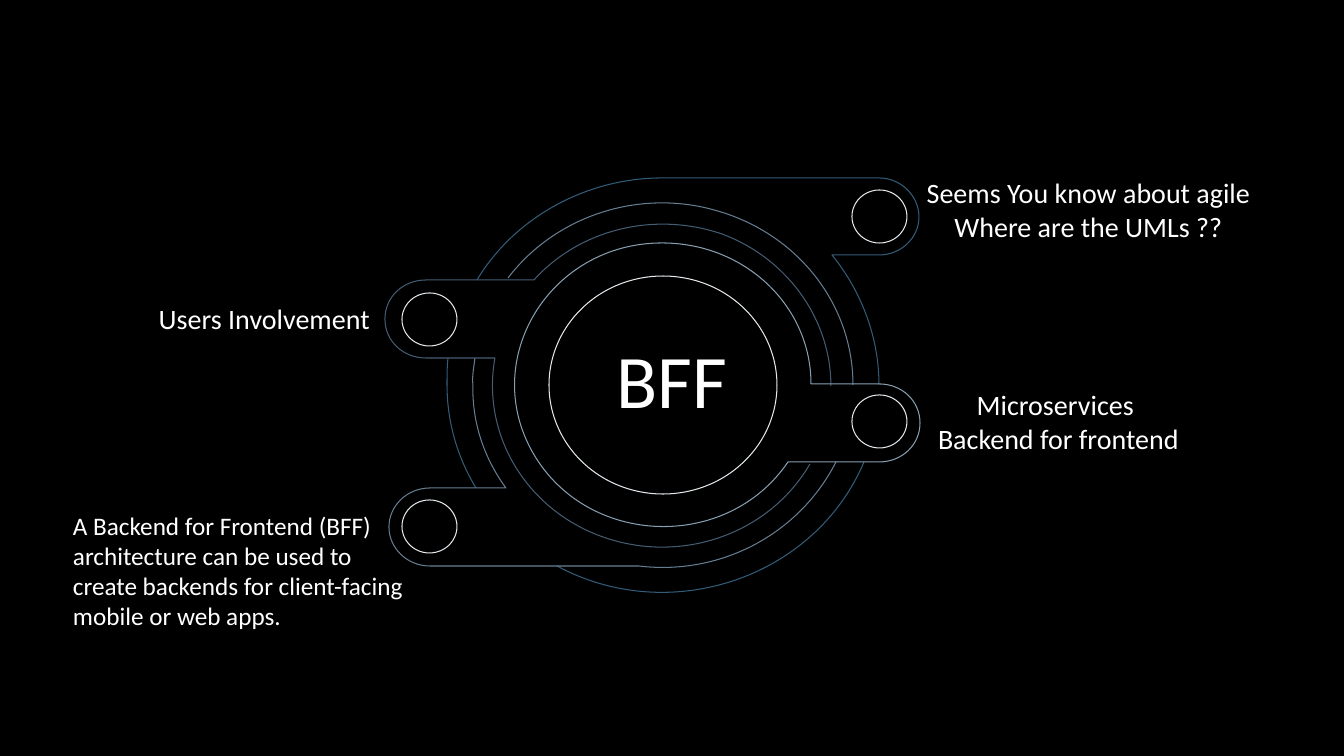
"""Build the BFF slide: a ringed hub with four labelled arms."""
from pptx import Presentation
from pptx.dml.color import RGBColor
from pptx.enum.shapes import MSO_SHAPE
from pptx.enum.text import MSO_ANCHOR, PP_ALIGN
from pptx.oxml.ns import qn
from pptx.util import Emu, Pt

PX = 914400 / 100.8
COLORS = {
    "back": "000000", "text": "FFFFFF", "dot": "E3E9ED",
    "outer": "325D79", "third": "667E92", "second": "445D73", "inner": "869FB1",
}

deck = Presentation()
deck.slide_width, deck.slide_height = Emu(round(1344 * PX)), Emu(round(756 * PX))
slide = deck.slides.add_slide(deck.slide_layouts[6])
slide.background.fill.solid()
slide.background.fill.fore_color.rgb = RGBColor.from_string(COLORS["back"])


def outline(shape, color):
    shape.shadow.inherit = False
    shape.fill.background()
    shape.line.color.rgb = RGBColor.from_string(COLORS[color])
    shape.line.width = Pt(0.75)


def write(lines, box, size=20, align=PP_ALIGN.CENTER, wrap=True):
    frame = slide.shapes.add_textbox(*(Emu(round(v * PX)) for v in box)).text_frame
    frame.word_wrap = wrap
    frame.vertical_anchor = MSO_ANCHOR.TOP
    for index, line in enumerate(lines):
        para = frame.paragraphs[0] if index == 0 else frame.add_paragraph()
        para.alignment = align
        run = para.add_run()
        run.text = line
        run.font.size = Pt(size)
        run.font.name = "Calibri"
        run.font.color.rgb = RGBColor.from_string(COLORS["text"])


write(["Seems You know about agile", "Where are the UMLs ??"], (712, 171, 753, 78))

# A step of two numbers is a line; a step of six is a Bezier curve.
tracks = [
    ("outer", (557, 566), [(670, 627, 815, 578, 864, 462)]),
    ("outer", (448, 358), [(447, 366, 447, 375, 447, 385), (447, 421, 457, 457, 476, 488)]),
    ("outer", (879, 385), [
        (879, 338, 862, 292, 832, 255), (879, 255), (901, 255, 919, 238, 919, 217),
        (919, 196, 901, 178, 879, 178), (662, 178), (587, 178, 515, 217, 477, 280)]),
    ("third", (475, 358), [
        (474, 367, 472, 376, 473, 385), (472, 422, 484, 458, 506, 488), (430, 488),
        (407, 488, 389, 506, 389, 527), (389, 548, 407, 566, 430, 566), (639, 566),
        (722, 576, 800, 533, 836, 462)]),
    ("third", (853, 385), [(853, 305, 799, 236, 721, 212), (642, 187, 556, 215, 508, 278)]),
    ("second", (831, 386), [
        (831, 319, 787, 258, 722, 234), (655, 211, 580, 229, 534, 280), (426, 280),
        (403, 280, 385, 297, 385, 319), (385, 341, 403, 358, 426, 358), (495, 358),
        (481, 436, 528, 512, 606, 538), (684, 564, 770, 533, 810, 464)]),
    ("inner", (662, 243), [
        (550, 243, 479, 359, 533, 453), (587, 547, 727, 552, 788, 462), (879, 462),
        (902, 462, 920, 445, 920, 423), (920, 401, 902, 384, 879, 384), (811, 384),
        (811, 306, 745, 243, 662, 243)]),
]
group = slide.shapes.add_group_shape()
for ring, start, steps in tracks:
    points = [pair for step in steps for pair in zip(step[::2], step[1::2])]
    pen = group.shapes.build_freeform(*start, scale=PX)
    pen.add_line_segments(points, close=ring == "inner")
    shape = pen.convert_to_shape()
    outline(shape, ring)
    nodes = iter(list(shape.element.iter(qn("a:lnTo"))))
    for step in steps:
        curve = next(nodes)
        if len(step) == 6:
            curve.tag = qn("a:cubicBezTo")
            for node in (next(nodes), next(nodes)):
                curve.append(node[0])
                node.getparent().remove(node)

dots = [(852, 190, 55, 53), (852, 395, 55, 53), (549, 276, 228, 218),
        (402, 500, 55, 53), (402, 293, 55, 53)]
for box in dots:
    dot = group.shapes.add_shape(MSO_SHAPE.OVAL, *(Emu(round(v * PX)) for v in box))
    outline(dot, "dot")

write(["BFF"], (606, 328, 132, 102), size=54, wrap=False)
write(["Microservices ", "Backend for frontend"], (682, 383, 753, 78))
write(["Users Involvement "], (-109, 297, 753, 44))
write(["A Backend for Frontend (BFF) architecture can be used to create backends "
       "for client-facing mobile or web apps."],
      (63, 505, 365, 132), size=18, align=PP_ALIGN.LEFT)

deck.save("out.pptx")
